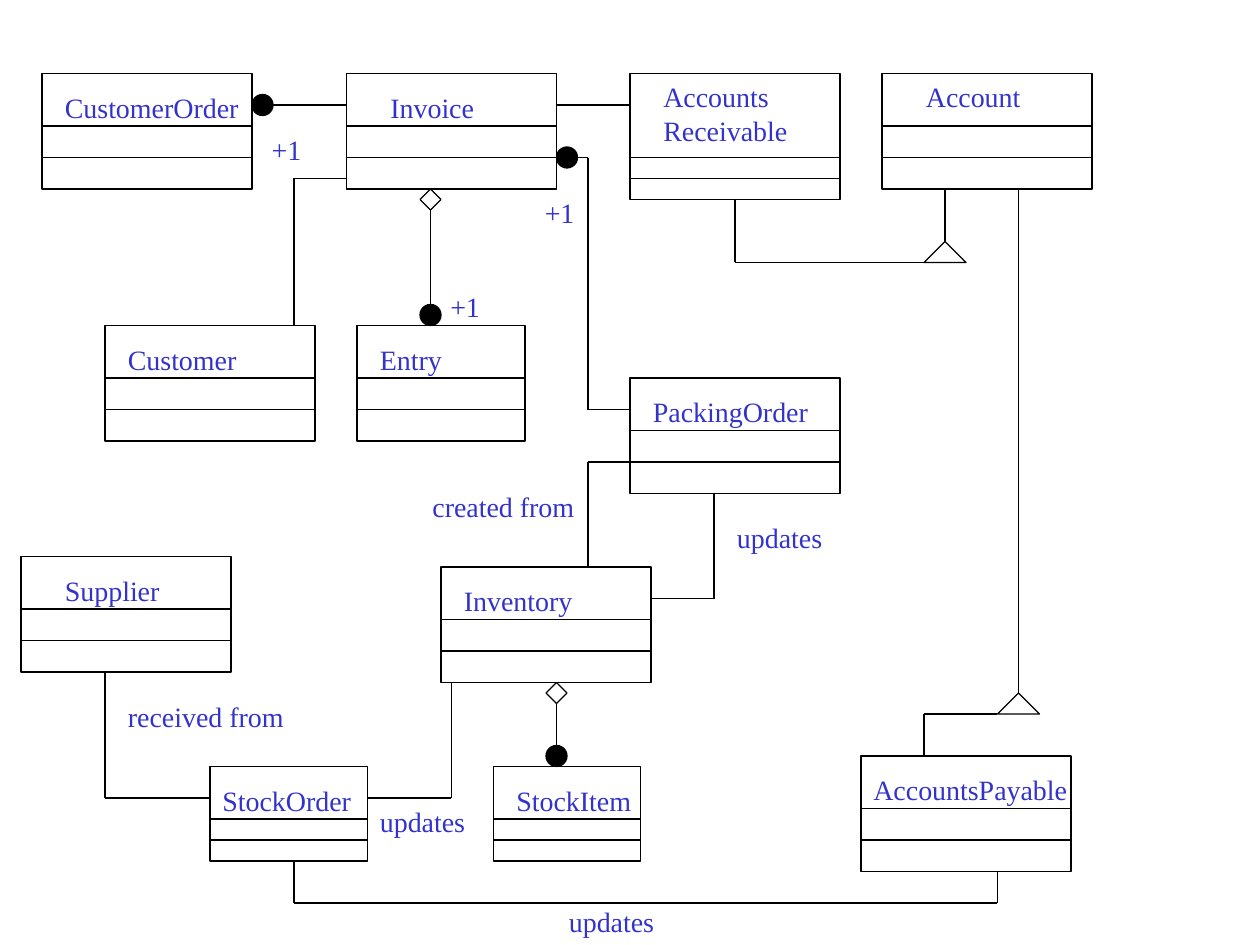
from itertools import pairwise

from lxml import etree
from pptx import Presentation
from pptx.dml.color import RGBColor
from pptx.enum.shapes import MSO_CONNECTOR, MSO_SHAPE
from pptx.enum.text import MSO_AUTO_SIZE, PP_ALIGN
from pptx.oxml.ns import qn
from pptx.util import Emu, Pt

STRAIGHT = MSO_CONNECTOR.STRAIGHT
RECTANGLE = MSO_SHAPE.RECTANGLE
OVAL = MSO_SHAPE.OVAL
TRIANGLE = MSO_SHAPE.ISOSCELES_TRIANGLE
FIT_SHAPE = MSO_AUTO_SIZE.SHAPE_TO_FIT_TEXT
LEFT = PP_ALIGN.LEFT

PX = 914400 // 120
COLORS = {
    name: RGBColor.from_string(value)
    for name, value in {"paper": "FFFFFF", "ink": "000000", "text": "3333CC"}.items()
}
BOTTOM = 2

presentation = Presentation()
presentation.slide_width = Emu(1200 * PX)
presentation.slide_height = Emu(900 * PX)
slide = presentation.slides.add_slide(presentation.slide_layouts[6])


def add_outline(preset, left, top, width, height, fill):
    shape = slide.shapes.add_shape(preset, left * PX, top * PX, width * PX, height * PX)
    shape.shadow.inherit = False
    shape.fill.solid()
    shape.fill.fore_color.rgb = COLORS[fill]
    shape.line.color.rgb = COLORS["ink"]
    shape.line.width = Pt(0.75)
    return shape


def add_path(*points):
    segments = []
    for (x1, y1), (x2, y2) in pairwise(points):
        segment = slide.shapes.add_connector(STRAIGHT, x1 * PX, y1 * PX, x2 * PX, y2 * PX)
        segment.line.color.rgb = COLORS["ink"]
        segment.line.width = Pt(0.75)
        etree.SubElement(segment._element.spPr, qn("a:effectLst"))
        segments.append(segment)
    return segments


classes = [
    ("CustomerOrder", 40, 70, 200, 110, (50, 80), 10, 10, 192),
    ("Invoice", 330, 70, 200, 110, (50, 80), 30, 10, 106),
    ("Accounts\nReceivable", 600, 70, 200, 120, (80, 100), 20, 0, 144),
    ("Account", 840, 70, 200, 110, (50, 80), 30, 0, 116),
    ("Customer", 100, 310, 200, 110, (50, 80), 10, 10, 130),
    ("Entry", 340, 310, 160, 110, (50, 80), 10, 10, 86),
    ("PackingOrder", 600, 360, 200, 110, (50, 80), 10, 10, 174),
    ("Supplier", 20, 530, 200, 110, (50, 80), 30, 10, 116),
    ("Inventory", 420, 540, 200, 110, (50, 80), 10, 10, 130),
    ("StockOrder", 200, 730, 150, 90, (50, 70), 0, 10, 149),
    ("StockItem", 470, 730, 140, 90, (50, 70), 10, 10, 136),
    ("AccountsPayable", 820, 720, 200, 110, (50, 80), 0, 10, 211),
]

labels = [
    ("updates", 350, 760, 107),
    ("updates", 530, 856, 107),
    ("received from", 110, 660, 174),
    ("created from", 400, 460, 162),
    ("updates", 690, 490, 107),
    ("+1", 417, 270, 54),
    ("+1", 507, 180, 54),
    ("+1", 247, 120, 54),
]

class_boxes = {}
for name, left, top, width, height, dividers, indent, drop, text_width in classes:
    class_boxes[name] = add_outline(RECTANGLE, left, top, width, height, "paper")
    for offset in dividers:
        add_path((left, top + offset), (left + width, top + offset))
    labels.append((name, left + indent, top + drop, text_width))

associations = [
    [(280, 310), (280, 170), (330, 170)],
    [(250, 100), (330, 100)],
    [(410, 200), (410, 290)],
    [(530, 100), (600, 100)],
    [(600, 390), (560, 390), (560, 150), (540, 150)],
    [(900, 230), (900, 180)],
    [(100, 640), (100, 760), (200, 760)],
    [(350, 760), (430, 760), (430, 650)],
    [(280, 820), (280, 860), (950, 860), (950, 830)],
    [(530, 670), (530, 710)],
    [(560, 540), (560, 440), (600, 440)],
    [(620, 570), (680, 570), (680, 470)],
    [(970, 660), (970, 180)],
    [(880, 720), (880, 680), (950, 680)],
]
for points in associations:
    add_path(*points)

receivable_link = add_path((700, 190), (700, 250), (880, 250))
receivable_link[0].begin_connect(class_boxes["Accounts\nReceivable"], BOTTOM)

for left, top in [(400, 290), (240, 90), (530, 140), (520, 710)]:
    add_outline(OVAL, left, top, 20, 20, "ink")
for x, y in [(410, 180), (530, 650)]:
    add_path((x, y), (x - 10, y + 10), (x, y + 20), (x + 10, y + 10), (x, y))
for left, top in [(880, 230), (950, 660)]:
    add_outline(TRIANGLE, left, top, 40, 20, "paper")

for text, left, top, width in labels:
    lines = text.split("\n")
    height = 12 + 32 * len(lines)
    text_box = slide.shapes.add_textbox(left * PX, top * PX, width * PX, height * PX)
    frame = text_box.text_frame
    frame.word_wrap = False
    frame.auto_size = FIT_SHAPE
    frame.text = text
    for paragraph in frame.paragraphs:
        paragraph.alignment = LEFT
        paragraph.font.name = "Times New Roman"
        paragraph.font.size = Pt(16)
        paragraph.font.color.rgb = COLORS["text"]

presentation.save("out.pptx")
